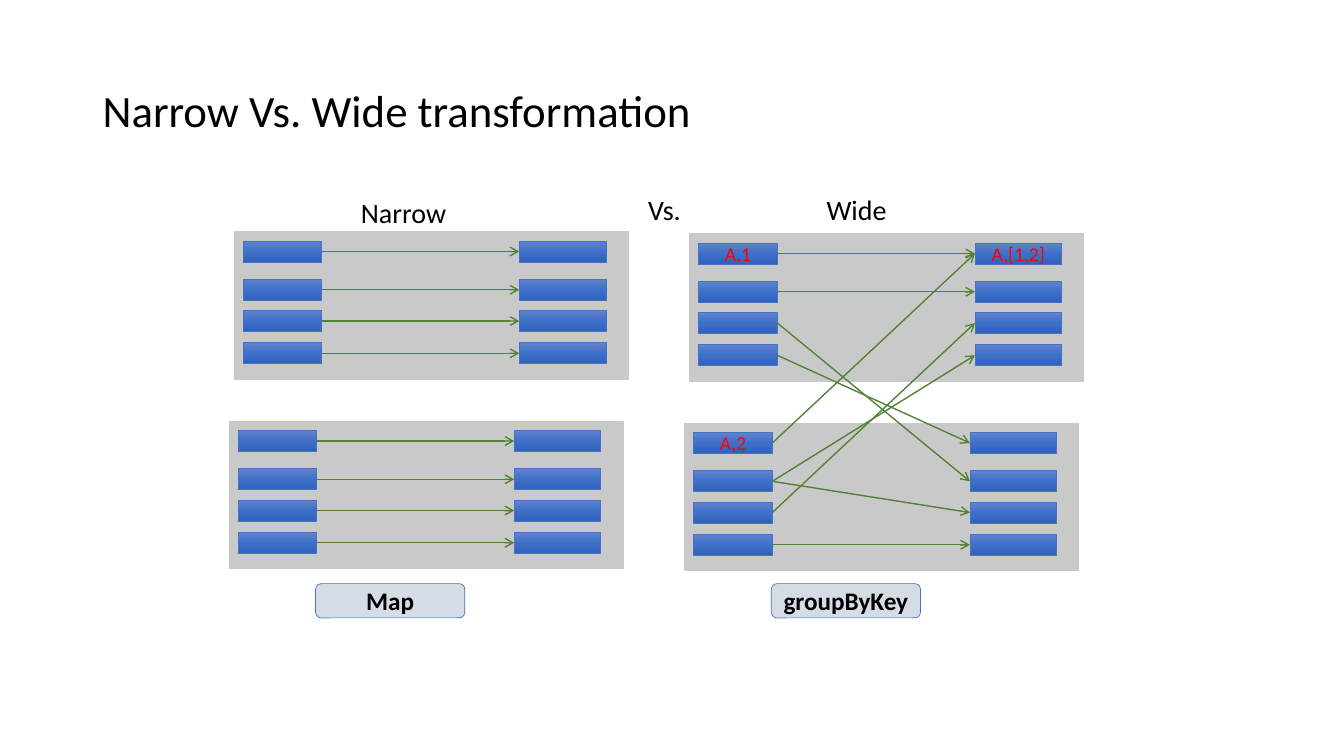
from copy import deepcopy

from lxml import etree
from pptx import Presentation
from pptx import util as u
from pptx.dml import color
from pptx.enum import shapes, text
from pptx.oxml import ns

COLORS = {
    "panel": "C9C9C9", "edge": "4472C4", "arrow": "548235", "badge": "D6DCE5",
    "ink": "000000", "mark": "FF0000",
    "top": "6183CB", "mid": "3E70CA", "base": "3062BB",
}
ROWS = (0.09, 0.47, 0.78, 1.1)
RIGHT, LEFT = 3, 1


def rgb(name):
    return color.RGBColor.from_string(COLORS[name])


class Board:
    def __init__(self, slide, font="Calibri"):
        self.slide = slide
        self.font = font

    def words(self, shape, line, size, ink="ink", bold=False, align=None):
        para = shape.text_frame.paragraphs[0]
        para.text = line
        para.alignment = align
        font = para.font
        font.name, font.size, font.bold = self.font, u.Pt(size), bold
        font.color.rgb = rgb(ink)
        return para

    def label(self, line, x, y, w, h, size=20):
        box = self.slide.shapes.add_textbox(*map(u.Inches, (x, y, w, h)))
        box.text_frame.word_wrap = True
        return box, self.words(box, line, size)

    def title(self, line):
        box, para = self.label(line, 0.92, 0.4, 11.5, 1.45, 32)
        box.text_frame.vertical_anchor = text.MSO_ANCHOR.MIDDLE
        para.line_spacing = 0.9

    def box(self, x, y, w, h, edge, fill=None, kind="RECTANGLE"):
        """Outlined shape; without a fill colour it gets the blue gradient."""
        shape = self.slide.shapes.add_shape(
            shapes.MSO_SHAPE[kind], *map(u.Inches, (x, y, w, h)))
        shape.shadow.inherit = False
        shape.line.color.rgb = rgb(edge)
        shape.line.width = u.Pt(0.5)
        if fill:
            shape.fill.solid()
            shape.fill.fore_color.rgb = rgb(fill)
        else:
            self.shade(shape)
        frame = shape.text_frame
        frame.vertical_anchor = text.MSO_ANCHOR.MIDDLE
        frame.margin_top = frame.margin_bottom = 0
        return shape

    def shade(self, shape):
        shape.fill.gradient()
        shape.fill.gradient_angle = 270
        stops = shape._element.spPr.find(".//" + ns.qn("a:gsLst"))
        stops.append(deepcopy(stops[-1]))
        for stop, name, place in zip(
                shape.fill.gradient_stops, ("top", "mid", "base"), (0, 0.5, 1)):
            stop.color.rgb = rgb(name)
            stop.position = place

    def panel(self, x, y):
        """Grey partition; returns its left and right cells."""
        self.box(x, y, 3.91, 1.46, "panel", "panel")
        return [[self.box(x + dx, y + dy, w, 0.21, "edge") for dy in ROWS]
                for dx, w in ((0.09, 0.78), (2.83, 0.86))]

    def mark(self, cell, line):
        self.words(cell, line, 14, "mark", align=text.PP_ALIGN.CENTER)

    def badge(self, line, x):
        shape = self.box(x, 5.79, 1.48, 0.34, "edge", "badge", "ROUNDED_RECTANGLE")
        shape.text_frame.margin_left = shape.text_frame.margin_right = 0
        self.words(shape, line, 18, bold=True, align=text.PP_ALIGN.CENTER)

    def arrow(self, start, end):
        link = self.slide.shapes.add_connector(
            shapes.MSO_CONNECTOR.STRAIGHT, 0, 0, 0, 0)
        link.begin_connect(start, RIGHT)
        link.end_connect(end, LEFT)
        link.line.color.rgb = rgb("arrow")
        link.line.width = u.Pt(1)
        props = link._element.spPr
        etree.SubElement(props.find(ns.qn("a:ln")), ns.qn("a:tailEnd"), type="arrow")
        etree.SubElement(props, ns.qn("a:effectLst"))


def main():
    deck = Presentation()
    deck.slide_width, deck.slide_height = u.Inches(13.33), u.Inches(7.5)
    board = Board(deck.slides.add_slide(deck.slide_layouts[6]))
    board.title("Narrow Vs. Wide transformation")

    for x, y in ((2.32, 2.3), (2.27, 4.18)):
        for start, end in zip(*board.panel(x, y)):
            board.arrow(start, end)

    upper, lower = board.panel(6.84, 2.32), board.panel(6.79, 4.2)
    board.mark(upper[0][0], "A,1")
    board.mark(upper[1][0], "A,[1,2]")
    board.mark(lower[0][0], "A,2")

    # Rows 0-3 are the upper partition, rows 4-7 the lower one.
    inputs, outputs = upper[0] + lower[0], upper[1] + lower[1]
    for start, end in ((0, 0), (1, 1), (4, 0), (5, 3), (6, 2), (7, 7),
                       (3, 4), (2, 5), (5, 6)):
        board.arrow(inputs[start], outputs[end])

    for line, x, y in (("Narrow", 3.48, 1.89), ("Vs.", 6.33, 1.86),
                       ("Wide", 8.1, 1.86)):
        board.label(line, x, y, 1.77, 0.44)
    for line, x in (("Map", 3.13), ("groupByKey", 7.65)):
        board.badge(line, x)

    deck.save("out.pptx")


if __name__ == "__main__":
    main()
